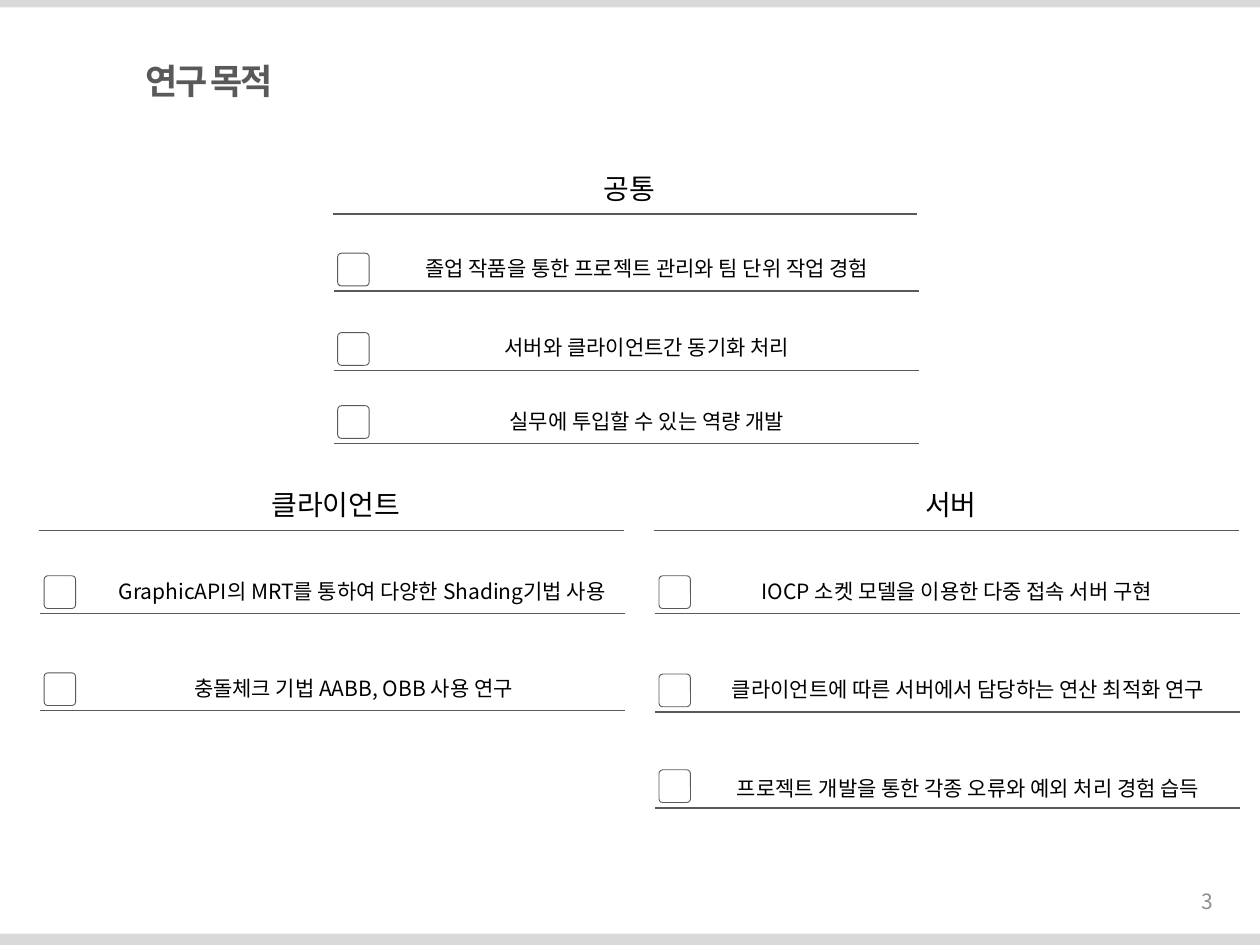
from lxml import etree
from pptx import Presentation
from pptx.dml.color import RGBColor
from pptx.enum.shapes import MSO_CONNECTOR, MSO_SHAPE
from pptx.enum.text import MSO_ANCHOR, PP_ALIGN
from pptx.oxml.ns import qn
from pptx.util import Inches, Pt

RECT, ROUND = MSO_SHAPE.RECTANGLE, MSO_SHAPE.ROUNDED_RECTANGLE
STRAIGHT = MSO_CONNECTOR.STRAIGHT
TOP, MID = MSO_ANCHOR.TOP, MSO_ANCHOR.MIDDLE
LEFT, MIDDLE, RIGHT = PP_ALIGN.LEFT, PP_ALIGN.CENTER, PP_ALIGN.RIGHT
FONT = "Noto Sans CJK KR"
HUES = {"bar": "D9D9D9", "dark": "595959", "grey": "8C8C8C",
        "black": "000000", "white": "FFFFFF"}
WIDE = 4.64

# left, top, heading, rows of (offset from top, text, text shift across, text shift down)
PARTS = [
    (2.64, 1.31, "공통", [
        (0.67, "졸업 작품을 통한 프로젝트 관리와 팀 단위 작업 경험", 0, 0),
        (1.30, "서버와 클라이언트간 동기화 처리", 0, 0),
        (1.88, "실무에 투입할 수 있는 역량 개발", 0, 0)]),
    (0.31, 3.82, "클라이언트", [
        (0.72, "GraphicAPI의 MRT를 통하여 다양한 Shading기법 사용", 0.07, 0),
        (1.49, "충돌체크 기법 AABB, OBB 사용 연구", 0, 0)]),
    (5.19, 3.82, "서버", [
        (0.72, "IOCP 소켓 모델을 이용한 다중 접속 서버 구현", -0.09, 0),
        (1.50, "클라이언트에 따른 서버에서 담당하는 연산 최적화 연구", 0, 0),
        (2.26, "프로젝트 개발을 통한 각종 오류와 예외 처리 경험 습득", 0, 0.03)]),
]


def hue(name):
    """Return a named colour."""
    return RGBColor.from_string(HUES[name])


def block(slide, kind, x, y, w, h, fill):
    """Add a plain filled shape without outline."""
    shape = slide.shapes.add_shape(kind, Inches(x), Inches(y), Inches(w), Inches(h))
    shape.shadow.inherit = False
    shape.fill.solid()
    shape.fill.fore_color.rgb = hue(fill)
    shape.line.fill.background()
    return shape


def label(slide, x, y, w, h, text, size, color="black", align=MIDDLE, anchor=TOP):
    """Add a one-paragraph text box and return the paragraph."""
    frame = slide.shapes.add_textbox(
        Inches(x), Inches(y), Inches(w), Inches(h)).text_frame
    frame.word_wrap = True
    frame.vertical_anchor = anchor
    para = frame.paragraphs[0]
    para.text = text
    para.alignment = align
    para.font.size = Pt(size)
    para.font.name = FONT
    para.font.color.rgb = hue(color)
    return para


def rule(slide, x, y):
    """Draw a level line as wide as a section."""
    line = slide.shapes.add_connector(
        STRAIGHT, Inches(x), Inches(y), Inches(x + WIDE), Inches(y))
    line.line.color.rgb = hue("dark")
    line.line.width = Pt(1)
    etree.SubElement(line._element.spPr, qn("a:effectLst"))


def item(slide, x, y, text, across, down):
    """Place a tick box, its text and the line under them."""
    box = block(slide, ROUND, x + 0.03, y + 0.03, 0.25, 0.26, "white")
    box.adjustments[0] = 0.12
    box.line.color.rgb = hue("dark")
    box.line.width = Pt(0.5)
    label(slide, x + 0.28 + across, y + down, 4.41, 0.3, text, 12)
    rule(slide, x, y + 0.33)


def section(slide, x, y, head, rows):
    """Place a heading, its line and the rows below."""
    label(slide, x + 0.15, y, 4.41, 0.37, head, 16)
    rule(slide, x, y + 0.39)
    for top, text, across, down in rows:
        item(slide, x + 0.01, y + top, text, across, down)


def frame(slide, title, number):
    """Place the edge bars, the title and the page number."""
    block(slide, RECT, 0, 0, 10, 0.06, "bar")
    block(slide, RECT, 0, 7.41, 10, 0.09, "bar")
    para = label(slide, 1.06, 0.33, 8.44, 0.61, title, 20, "dark", LEFT, MID)
    para.font.bold = True
    para.runs[0].font._element.set("spc", "-150")
    label(slide, 8.86, 6.95, 0.87, 0.4, number, 12, "grey", RIGHT, MID)


def main():
    """Build and save the slide."""
    deck = Presentation()
    deck.slide_width, deck.slide_height = Inches(10), Inches(7.5)
    slide = deck.slides.add_slide(deck.slide_layouts[6])
    frame(slide, "연구 목적", "3")
    for part in PARTS:
        section(slide, *part)
    deck.save("out.pptx")


if __name__ == "__main__":
    main()
